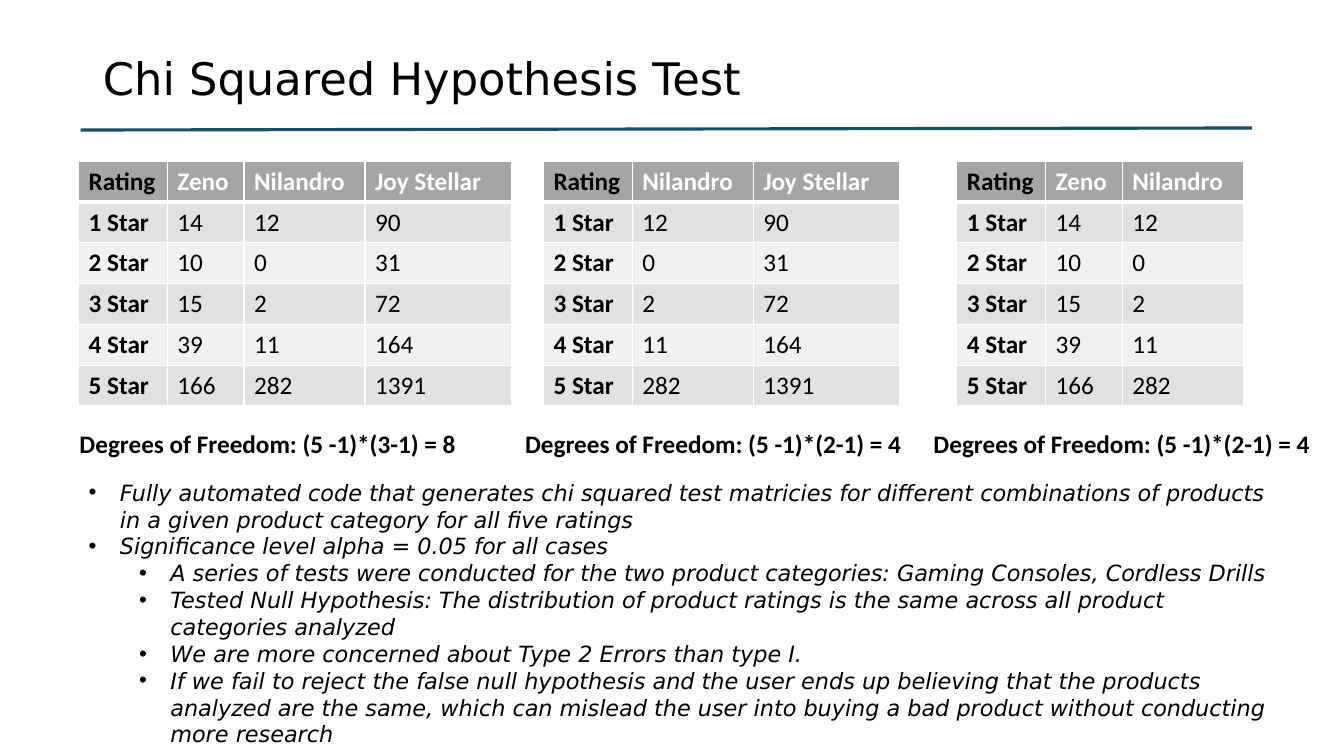
from lxml import etree
from pptx import Presentation
from pptx.dml.color import RGBColor
from pptx.enum import shapes, text
from pptx.oxml import ns
from pptx.util import Inches, Pt

BLACK = RGBColor(0, 0, 0)
WHITE = RGBColor(255, 255, 255)
TEAL = RGBColor(0x1A, 0x4D, 0x66)
HEAD = RGBColor(0xA5, 0xA5, 0xA5)
BANDS = (RGBColor(0xE1, 0xE1, 0xE1), RGBColor(0xF0, 0xF0, 0xF0))

STARS = ["1 Star", "2 Star", "3 Star", "4 Star", "5 Star"]
# console name: (column width, ratings from 1 to 5 stars)
SALES = {
    "Zeno": (0.76, [14, 10, 15, 39, 166]),
    "Nilandro": (1.2, [12, 0, 2, 11, 282]),
    "Joy Stellar": (1.45, [90, 31, 72, 164, 1391]),
}
# table left, caption left, caption width, consoles compared
TESTS = [
    (0.78, 0.69, 5.56, ["Zeno", "Nilandro", "Joy Stellar"]),
    (5.39, 5.11, 5.56, ["Nilandro", "Joy Stellar"]),
    (9.49, 9.16, 4.08, ["Zeno", "Nilandro"]),
]
POINTS = [
    (0, "Fully automated code that generates chi squared test matricies for "
        "different combinations of products in a given product category for "
        "all five ratings"),
    (0, "Significance level alpha = 0.05 for all cases"),
    (1, "A series of tests were conducted for the two product categories: "
        "Gaming Consoles, Cordless Drills"),
    (1, "Tested Null Hypothesis: The distribution of product ratings is the "
        "same across all product categories analyzed"),
    (1, "We are more concerned about Type 2 Errors than type I."),
    (1, "If we fail to reject the false null hypothesis and the user ends up "
        "believing that the products analyzed are the same, which can mislead "
        "the user into buying a bad product without conducting more research"),
]


def place(shape, left, top, width, height):
    shape.left, shape.top = Inches(left), Inches(top)
    shape.width, shape.height = Inches(width), Inches(height)


def style(para, name, size, color=BLACK, bold=False, italic=False):
    font = para.font
    font.name, font.size = name, Pt(size)
    font.bold, font.italic = bold, italic
    font.color.rgb = color


def add_rule(slide):
    line = slide.shapes.add_connector(
        shapes.MSO_CONNECTOR.STRAIGHT,
        Inches(0.8), Inches(1.29), Inches(12.42), Inches(1.27))
    line.line.color.rgb = TEAL
    line.line.width = Pt(2.25)
    etree.SubElement(line.element.spPr, ns.qn("a:effectLst"))


def set_title(slide):
    title = slide.shapes.title
    place(title, 0.92, 0.4, 11.5, 0.8)
    title.text_frame.text = "Chi Squared Hypothesis Test"
    title.text_frame.vertical_anchor = text.MSO_ANCHOR.MIDDLE
    para = title.text_frame.paragraphs[0]
    para.alignment = text.PP_ALIGN.LEFT
    para.line_spacing = 0.9
    style(para, "DejaVu Sans", 32)


def set_list(slide):
    body = slide.placeholders[1]
    place(body, 0.78, 4.7, 12.02, 3.33)
    frame = body.text_frame
    frame.auto_size = text.MSO_AUTO_SIZE.SHAPE_TO_FIT_TEXT
    frame.text = "\n".join(words for _, words in POINTS)
    for para, (level, _) in zip(frame.paragraphs, POINTS):
        para.level = level
        para.space_before = Pt(0)
        style(para, "DejaVu Sans", 16, italic=True)
        props = para._p.get_or_add_pPr()
        props.set("marL", str(Inches(0.31 + 0.5 * level)))
        props.set("indent", str(Inches(-0.31)))
        bullet = etree.Element(ns.qn("a:buFont"), typeface="Arial")
        mark = etree.Element(ns.qn("a:buChar"), char="•")
        spot = props.find(ns.qn("a:defRPr"))
        spot.addprevious(bullet)
        spot.addprevious(mark)


def add_edges(cell, bottom):
    """Give the cell white borders; call before its fill is set."""
    props = cell._tc.get_or_add_tcPr()
    for side, width in (("L", 1), ("R", 1), ("T", 1), ("B", bottom)):
        edge = etree.SubElement(props, ns.qn("a:ln" + side), w=str(Pt(width)))
        fill = etree.SubElement(edge, ns.qn("a:solidFill"))
        etree.SubElement(fill, ns.qn("a:srgbClr"), val=str(WHITE))


def add_table(slide, left, names):
    widths = [0.88] + [SALES[name][0] for name in names]
    rows = [["Rating"] + names]
    rows += zip(STARS, *(SALES[name][1] for name in names))
    table = slide.shapes.add_table(
        len(rows), len(widths), Inches(left), Inches(1.6),
        Inches(sum(widths)), Inches(2.43)).table
    for col, width in zip(table.columns, widths):
        col.width = Inches(width)
    for r, row in enumerate(rows):
        for c, value in enumerate(row):
            cell = table.cell(r, c)
            cell.text = str(value)
            add_edges(cell, 1 if r else 3)
            cell.fill.solid()
            cell.fill.fore_color.rgb = BANDS[(r - 1) % 2] if r else HEAD
            style(cell.text_frame.paragraphs[0], "Calibri", 18,
                  BLACK if r or not c else WHITE, bold=not (r and c))


def add_caption(slide, left, width, count):
    box = slide.shapes.add_textbox(
        Inches(left), Inches(4.2), Inches(width), Inches(0.4))
    frame = box.text_frame
    frame.word_wrap = True
    frame.text = f"Degrees of Freedom: (5 -1)*({count}-1) = {4 * (count - 1)}"
    style(frame.paragraphs[0], "Calibri", 18, bold=True)


def main():
    deck = Presentation()
    deck.slide_width, deck.slide_height = Inches(13.33), Inches(7.5)
    slide = deck.slides.add_slide(deck.slide_layouts[1])
    add_rule(slide)
    set_title(slide)
    set_list(slide)
    for left, start, width, names in TESTS:
        add_table(slide, left, names)
        add_caption(slide, start, width, len(names))
    deck.save("out.pptx")


if __name__ == "__main__":
    main()
